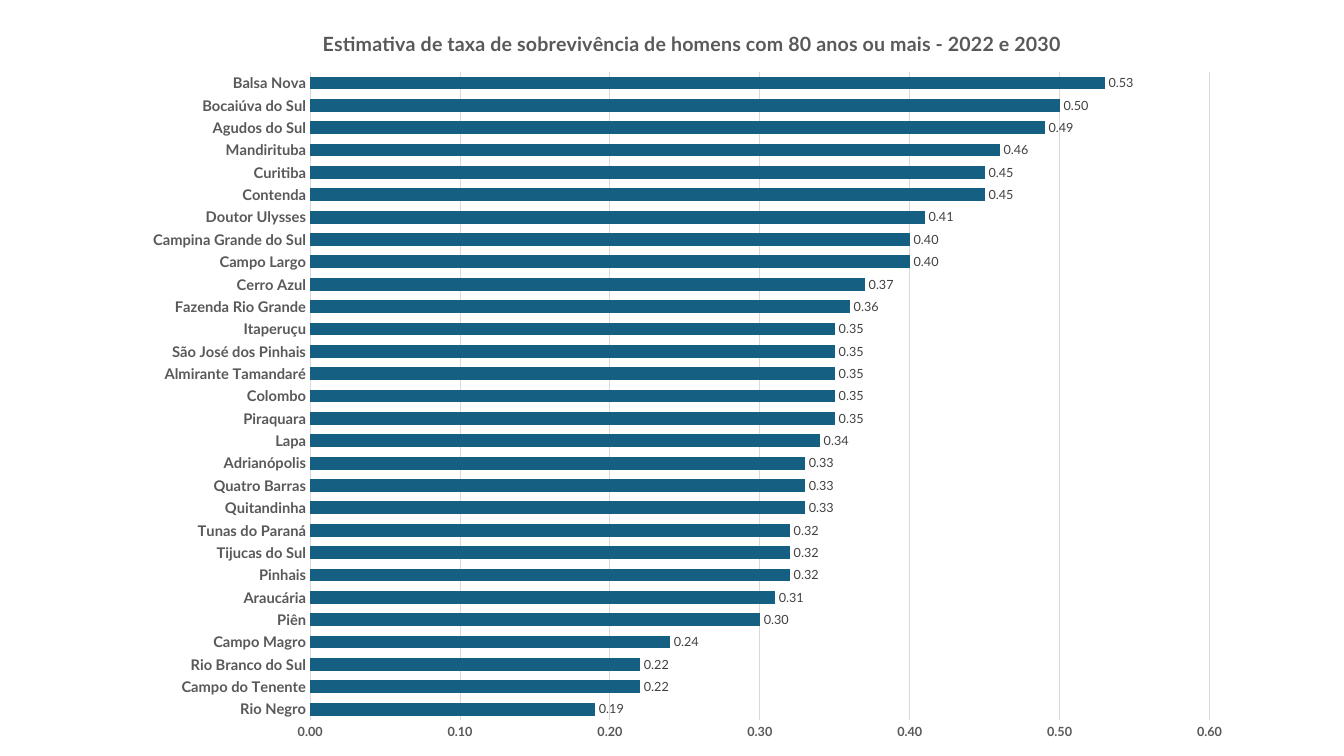
"""Builds a slide with a bar chart of survival rates by municipality."""
from pptx import Presentation
from pptx.chart.data import CategoryChartData
from pptx.dml.color import RGBColor
from pptx.enum.chart import XL_CHART_TYPE as ChartType
from pptx.enum.chart import XL_LABEL_POSITION as LabelPosition
from pptx.enum.chart import XL_TICK_MARK as TickMark
from pptx.oxml import parse_xml
from pptx.oxml.ns import nsdecls
from pptx.util import Inches, Pt

TITLE = "Estimativa de taxa de sobrevivência de homens com 80 anos ou mais - 2022 e 2030"
RATES = [
    ("Rio Negro", 0.19),
    ("Campo do Tenente", 0.22),
    ("Rio Branco do Sul", 0.22),
    ("Campo Magro", 0.24),
    ("Piên", 0.30),
    ("Araucária", 0.31),
    ("Pinhais", 0.32),
    ("Tijucas do Sul", 0.32),
    ("Tunas do Paraná", 0.32),
    ("Quitandinha", 0.33),
    ("Quatro Barras", 0.33),
    ("Adrianópolis", 0.33),
    ("Lapa", 0.34),
    ("Piraquara", 0.35),
    ("Colombo", 0.35),
    ("Almirante Tamandaré", 0.35),
    ("São José dos Pinhais", 0.35),
    ("Itaperuçu", 0.35),
    ("Fazenda Rio Grande", 0.36),
    ("Cerro Azul", 0.37),
    ("Campo Largo", 0.40),
    ("Campina Grande do Sul", 0.40),
    ("Doutor Ulysses", 0.41),
    ("Contenda", 0.45),
    ("Curitiba", 0.45),
    ("Mandirituba", 0.46),
    ("Agudos do Sul", 0.49),
    ("Bocaiúva do Sul", 0.50),
    ("Balsa Nova", 0.53),
]
THEME = {
    "font": "Lato",
    "bar": "156082",
    "grid": "D9D9D9",
    "base": {"size": 10, "color": "000000", "bold": False},
    "title": {"size": 14, "color": "595959", "bold": True},
    "category": {"size": 10.5, "color": "595959", "bold": True},
    "value": {"size": 9, "color": "595959", "bold": True},
    "label": {"size": 9, "color": "404040", "bold": False},
}
NUMBER_FORMAT = "0.00"
CHART_BOX = (1.31, 0, 11.04, 7.5)
PLOT_LAYOUT = {"x": 0.16, "y": 0.095, "w": 0.808, "h": 0.858}
TITLE_LAYOUT = {"x": 0.168, "y": 0.034}


def set_values(target, values):
    for name, value in values.items():
        setattr(target, name, value)


def style_font(font, role):
    style = THEME[role]
    set_values(font, {"name": THEME["font"], "size": Pt(style["size"]), "bold": style["bold"]})
    font.color.rgb = RGBColor.from_string(style["color"])


def style_line(line):
    line.color.rgb = RGBColor.from_string(THEME["grid"])
    line.width = Pt(0.75)


def make_layout(fractions, inner=False):
    target = '<c:layoutTarget val="inner"/>' if inner else ""
    modes = "".join(f'<c:{key}Mode val="edge"/>' for key in "xy")
    places = "".join(f'<c:{key} val="{value}"/>' for key, value in fractions.items())
    return parse_xml(
        f'<c:layout {nsdecls("c")}><c:manualLayout>{target}{modes}{places}'
        "</c:manualLayout></c:layout>"
    )


def place(element, layout, position):
    for old_layout in element.findall(layout.tag):
        element.remove(old_layout)
    element.insert(position, layout)


def add_rate_chart(slide):
    data = CategoryChartData(number_format=NUMBER_FORMAT)
    data.categories = [name for name, rate in RATES]
    data.add_series("Series 1", [rate for name, rate in RATES])
    box = map(Inches, CHART_BOX)
    return slide.shapes.add_chart(ChartType.BAR_CLUSTERED, *box, data).chart


def style_title(chart):
    frame = chart.chart_title.text_frame
    frame.text = TITLE
    style_font(frame.paragraphs[0].runs[0].font, "title")
    chart.chart_title.include_in_layout = False
    place(chart.chart_title._element, make_layout(TITLE_LAYOUT), 1)


def style_axes(chart):
    for axis, role in ((chart.category_axis, "category"), (chart.value_axis, "value")):
        set_values(axis, {"major_tick_mark": TickMark.NONE, "minor_tick_mark": TickMark.NONE})
        style_font(axis.tick_labels.font, role)
    chart.category_axis.has_major_gridlines = False
    style_line(chart.category_axis.format.line)

    axis = chart.value_axis
    set_values(axis, {
        "minimum_scale": 0, "maximum_scale": 0.6, "major_unit": 0.1,
        "has_major_gridlines": True,
    })
    style_line(axis.major_gridlines.format.line)
    axis.format.line.fill.background()
    set_values(axis.tick_labels, {"number_format": NUMBER_FORMAT, "number_format_is_linked": False})


def style_bars(chart):
    plot = chart.plots[0]
    set_values(plot, {"gap_width": 74, "vary_by_categories": False, "has_data_labels": True})
    fill = plot.series[0].format.fill
    fill.solid()
    fill.fore_color.rgb = RGBColor.from_string(THEME["bar"])
    set_values(plot.data_labels, {
        "show_value": True, "position": LabelPosition.OUTSIDE_END,
        "number_format": NUMBER_FORMAT, "number_format_is_linked": False,
    })
    style_font(plot.data_labels.font, "label")


def main():
    presentation = Presentation()
    set_values(presentation, {"slide_width": Inches(13.33), "slide_height": Inches(7.5)})
    slide = presentation.slides.add_slide(presentation.slide_layouts[6])
    chart = add_rate_chart(slide)
    chart.has_legend = False
    style_font(chart.font, "base")
    style_title(chart)
    style_axes(chart)
    style_bars(chart)
    plot_area = chart._chartSpace.chart.plotArea
    place(plot_area, make_layout(PLOT_LAYOUT, inner=True), 0)
    presentation.save("out.pptx")


if __name__ == "__main__":
    main()
